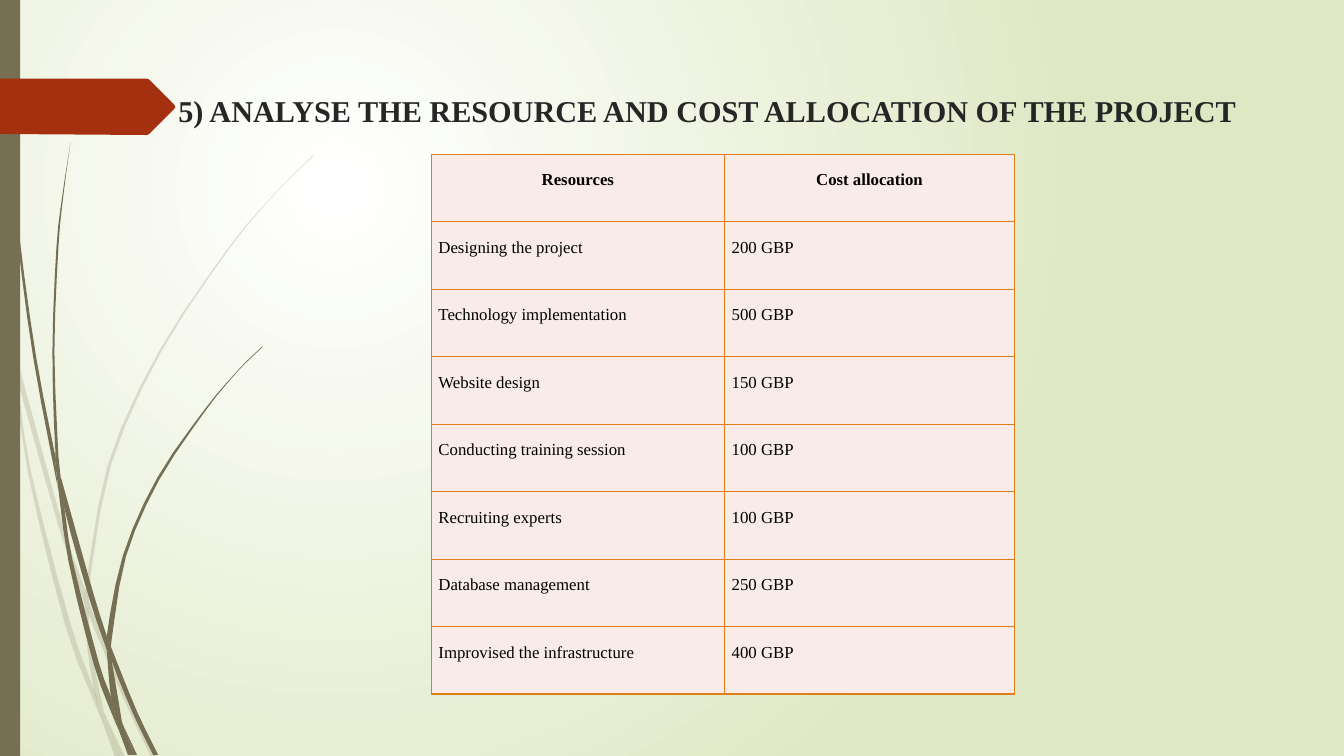
from dataclasses import dataclass

from lxml import etree
from pptx import Presentation
from pptx import util as u
from pptx.dml.color import RGBColor as Rgb
from pptx.enum import shapes, text
from pptx.oxml import ns

Points = list[tuple[float, float]]


@dataclass(frozen=True)
class Theme:
    font: str = "Times New Roman"
    title: float = 21.6
    body: float = 12
    ink: str = "262626"
    black: str = "000000"
    stem: str = "766F54"
    flag: str = "A53010"
    cell: str = "F9ECE8"
    rule: str = "DE7E18"
    glow: str = "FFFFFF"
    edge: str = "DFE8C4"


@dataclass(frozen=True)
class Blade:
    down: Points
    up: Points


@dataclass(frozen=True)
class Entry:
    name: str
    cost: str
    align: text.PP_ALIGN = text.PP_ALIGN.JUSTIFY
    bold: bool = False


THEME = Theme()
WIDE, HIGH = 33.87, 19.05
INCH = 2.54
STEPS = 3

PALE = [
    Blade([(0, 2.82), (0.09, 3.22), (0.11, 3.5)], [(0.1, 3.44), (0, 2.99)]),
    Blade([(0.14, 3.45), (0.62, 5.2), (0.85, 5.86)], [(0.84, 5.99), (0.58, 5.22), (0.17, 3.76)]),
    Blade([(0.88, 5.96), (0.92, 6.07), (1.27, 6.92), (1.55, 7.51)],
          [(1.5, 7.51), (1.23, 6.94), (0.88, 6.1)]),
    Blade([(1.05, 7.11), (1.24, 7.51)], [(1.19, 7.51), (1.05, 7.11)]),
    Blade([(0.11, 3.5), (0.17, 3.76), (0.31, 4.69), (0.7, 6.19), (0.93, 6.83), (0.99, 7.07), (1.01, 7.14)],
          [(0.92, 6.93), (0.65, 6.21), (0.28, 4.7), (0.11, 3.5)]),
    Blade([(0.84, 5.99), (0.88, 6.08), (0.88, 6.1), (0.91, 6.46), (1.03, 7.06), (1.05, 7.11)],
          [(0.96, 6.92), (0.93, 6.83), (0.87, 6.46), (0.84, 5.99)]),
    Blade([(3.12, 1.53), (2.89, 1.75), (2.68, 1.97), (2.28, 2.44), (1.58, 3.48), (1.07, 4.61),
           (0.85, 5.84), (0.85, 5.86), (0.88, 5.96)],
          [(0.88, 5.84), (1.1, 4.62), (1.6, 3.49), (2.29, 2.45), (2.68, 1.98), (2.9, 1.75), (3.12, 1.54)]),
    Blade([(1.01, 7.14), (1.14, 7.51)], [(1.19, 7.51), (1.01, 7.14)]),
    Blade([(0.85, 5.86), (0.84, 5.99), (0.88, 6.08)], [(0.88, 6.1), (0.88, 5.96), (0.85, 5.86)]),
    Blade([(0.93, 6.83), (0.99, 7.07), (1.01, 7.14), (1.19, 7.51)], [(1.05, 7.11), (0.96, 6.92)]),
]
DARK = [
    Blade([(0.03, 0), (0.04, 0.48), (0.07, 1.1), (0.17, 2.33), (0.33, 3.55), (0.56, 4.77), (0.57, 4.81)],
          [(0.55, 4.57), (0.55, 4.53), (0.36, 3.55), (0.19, 2.32), (0.08, 1.09), (0.05, 0.48), (0.04, 0)]),
    Blade([(0.6, 4.72), (0.64, 5.05), (0.88, 5.92), (1.06, 6.45)],
          [(1.06, 6.33), (1.06, 6.31), (0.93, 5.9), (0.6, 4.72)]),
    Blade([(1.1, 6.41), (1.11, 6.56), (1.32, 7.08), (1.52, 7.49)],
          [(1.57, 7.49), (1.36, 7.06), (1.13, 6.49), (1.1, 6.41)]),
    Blade([(0.57, 4.77), (0.68, 5.57), (0.93, 6.59), (1.11, 7.08), (1.17, 7.22)],
          [(1.16, 7.17), (1.1, 6.91), (0.98, 6.57), (0.72, 5.56), (0.64, 5.05), (0.57, 4.77)]),
    Blade([(0.7, 1.41), (0.62, 1.93), (0.56, 2.45), (0.52, 3.49), (0.55, 4.49), (0.6, 4.72)],
          [(0.58, 4.53), (0.54, 3.49), (0.58, 2.45), (0.63, 1.93), (0.7, 1.41)]),
    Blade([(1.22, 7.19), (1.33, 7.49)], [(1.36, 7.49), (1.22, 7.19)]),
    Blade([(0.55, 4.49), (0.55, 4.53), (0.57, 4.77), (0.64, 5.05)], [(0.6, 4.72), (0.55, 4.49)]),
    Blade([(2.6, 3.44), (2.45, 3.58), (2.31, 3.73), (2.04, 4.05), (1.56, 4.74), (1.22, 5.51),
           (1.06, 6.31), (1.1, 6.41)],
          [(1.11, 6.33), (1.25, 5.52), (1.58, 4.76), (2.05, 4.06), (2.31, 3.74), (2.45, 3.59), (2.61, 3.44)]),
    Blade([(1.17, 7.22), (1.27, 7.49)], [(1.31, 7.49), (1.17, 7.22)]),
    Blade([(1.06, 6.45), (1.1, 6.91), (1.16, 7.06), (1.22, 7.19)],
          [(1.21, 7.16), (1.11, 6.56), (1.09, 6.51), (1.06, 6.45)]),
    Blade([(1.06, 6.31), (1.06, 6.45), (1.09, 6.51), (1.11, 6.56)], [(1.1, 6.41), (1.06, 6.31)]),
    Blade([(1.1, 6.91), (1.16, 7.17), (1.17, 7.22), (1.3, 7.49)], [(1.33, 7.49), (1.22, 7.19), (1.16, 7.06)]),
]
FLAG = [(0, 0.78), (1.46, 0.78), (1.48, 0.79), (1.73, 1.04), (1.74, 1.06),
        (1.73, 1.08), (1.48, 1.33), (1.46, 1.34), (0, 1.33)]

ENTRIES = [
    Entry("Resources", "Cost allocation", text.PP_ALIGN.CENTER, True),
    Entry("Designing the project", "200 GBP"),
    Entry("Technology implementation", "500 GBP"),
    Entry("Website design", "150 GBP"),
    Entry("Conducting training session", "100 GBP"),
    Entry("Recruiting experts", "100 GBP", text.PP_ALIGN.LEFT),
    Entry("Database management", "250 GBP"),
    Entry("Improvised the infrastructure", "400 GBP"),
]


def paint(shape, color: str, alpha: int = 100) -> None:
    shape.shadow.inherit = False
    shape.line.fill.background()
    shape.fill.solid()
    shape.fill.fore_color.rgb = Rgb.from_string(color)
    if alpha < 100:
        tone = shape.element.spPr.find(".//" + ns.qn("a:srgbClr"))
        etree.SubElement(tone, ns.qn("a:alpha"), val=str(alpha * 1000))


def write(frame, words: str, size: float, color: str, bold: bool, align: text.PP_ALIGN) -> None:
    para = frame.paragraphs[0]
    para.alignment, para.line_spacing = align, 1.5
    run = para.add_run()
    run.text = words
    run.font.name, run.font.size, run.font.bold = THEME.font, u.Pt(size), bold
    run.font.color.rgb = Rgb.from_string(color)


def spline(knots: Points) -> Points:
    ends = [knots[0], *knots, knots[-1]]
    curve = []
    for a, b, c, d in zip(ends, ends[1:], ends[2:], ends[3:]):
        for t in (step / STEPS for step in range(STEPS)):
            curve.append(tuple(
                q + t / 2 * (r - p + t * (2 * p - 5 * q + 4 * r - s) + t * t * (3 * q - p - 3 * r + s))
                for p, q, r, s in zip(a, b, c, d)))
    return curve + [knots[-1]]


def trace(slide, ring: Points, color: str, alpha: int = 100) -> None:
    spots = [(u.Cm(x * INCH), u.Cm(y * INCH)) for x, y in ring]
    form = slide.shapes.build_freeform(*spots[0])
    form.add_line_segments(spots[1:], close=True)
    paint(form.convert_to_shape(), color, alpha)


def shade(slide) -> None:
    fill = slide.background.fill
    fill.gradient()
    for stop, color in zip(fill.gradient_stops, (THEME.glow, THEME.edge)):
        stop.color.rgb = Rgb.from_string(color)
    grad = slide.element.find(".//" + ns.qn("a:gradFill"))
    grad.remove(grad.find(ns.qn("a:lin")))
    way = etree.SubElement(grad, ns.qn("a:path"), path="circle")
    etree.SubElement(way, ns.qn("a:fillToRect"), l="50000", t="50000", r="100000", b="100000")


def border(cell) -> None:
    props = cell._tc.get_or_add_tcPr()
    for i, side in enumerate(("a:lnL", "a:lnR", "a:lnT", "a:lnB")):
        line = etree.Element(ns.qn(side), w=str(u.Pt(1)))
        solid = etree.SubElement(line, ns.qn("a:solidFill"))
        etree.SubElement(solid, ns.qn("a:srgbClr"), val=THEME.rule)
        props.insert(i, line)


def tabulate(slide, rows: list[Entry]) -> None:
    grid = slide.shapes.add_table(len(rows), 2, u.Cm(10.87), u.Cm(3.89),
                                  u.Cm(14.7), u.Cm(1.7 * len(rows))).table
    grid.horz_banding = False
    for col, width in zip(grid.columns, (7.39, 7.31)):
        col.width = u.Cm(width)
    for row, entry in enumerate(rows):
        for col, words in enumerate((entry.name, entry.cost)):
            cell = grid.cell(row, col)
            cell.margin_left = cell.margin_right = u.Cm(0.18)
            cell.margin_top = cell.margin_bottom = u.Cm(0.18)
            cell.fill.solid()
            cell.fill.fore_color.rgb = Rgb.from_string(THEME.cell)
            align = entry.align if col == 0 or entry.bold else text.PP_ALIGN.JUSTIFY
            write(cell.text_frame, words, THEME.body, THEME.black, entry.bold, align)
            border(cell)


def main() -> None:
    deck = Presentation()
    deck.slide_width, deck.slide_height = u.Cm(WIDE), u.Cm(HIGH)
    slide = deck.slides.add_slide(deck.slide_layouts[6])
    shade(slide)
    for blades, alpha in ((PALE, 20), (DARK, 100)):
        for blade in blades:
            trace(slide, spline(blade.down) + spline(blade.up), THEME.stem, alpha)
    bar = slide.shapes.add_shape(shapes.MSO_SHAPE.RECTANGLE, 0, 0, u.Cm(0.51), u.Cm(HIGH))
    paint(bar, THEME.stem)
    trace(slide, FLAG, THEME.flag)
    head = slide.shapes.add_textbox(u.Cm(3.71), u.Cm(1.75), u.Cm(28.24), u.Cm(3.56)).text_frame
    head.word_wrap = True
    write(head, "5) ANALYSE THE RESOURCE AND COST ALLOCATION OF THE PROJECT",
          THEME.title, THEME.ink, True, text.PP_ALIGN.CENTER)
    tabulate(slide, ENTRIES)
    deck.save("out.pptx")


if __name__ == "__main__":
    main()
